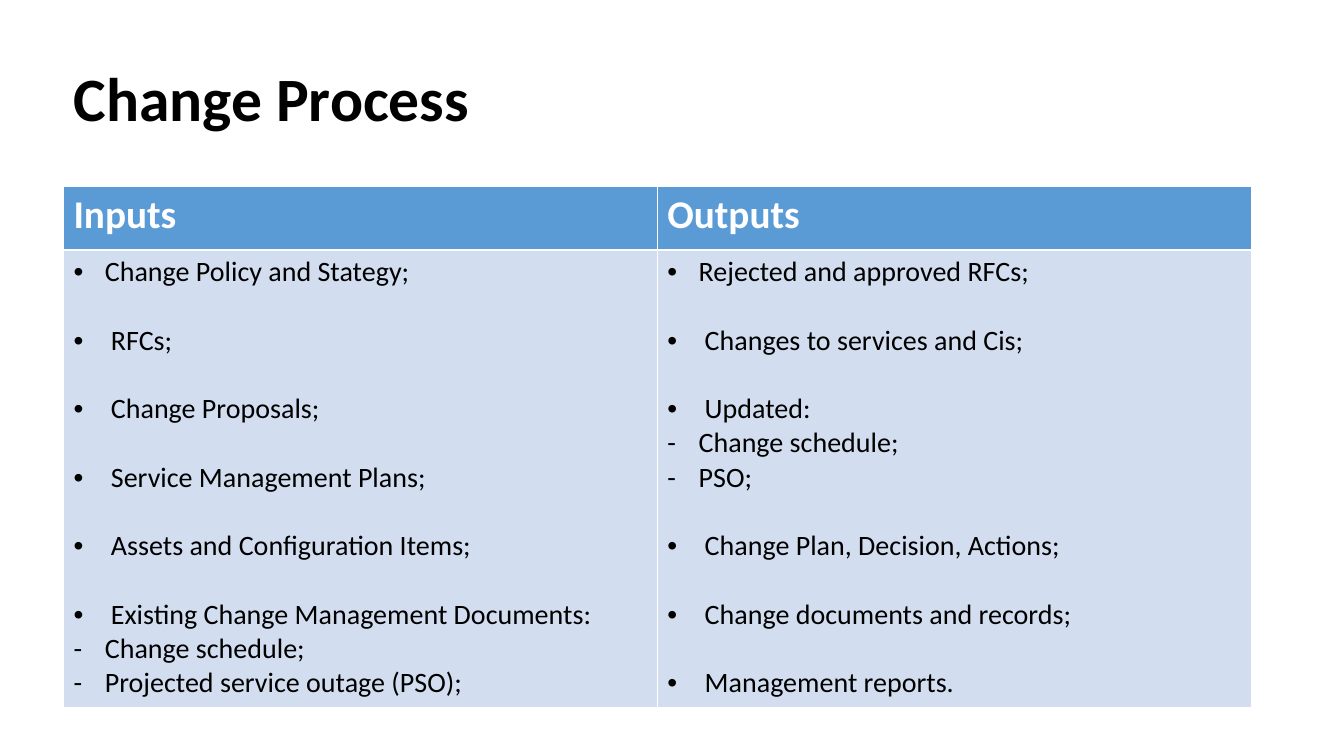
from lxml import etree
from pptx import Presentation, util as u
from pptx.dml.color import RGBColor
from pptx.enum import text
from pptx.oxml.ns import qn

TITLE = "Change Process"
COLUMNS = {
    "Inputs": [
        ("•", "Change Policy and Stategy;"),
        ("•", "RFCs;"),
        ("•", "Change Proposals;"),
        ("•", "Service Management Plans;"),
        ("•", "Assets and Configuration Items;"),
        ("•", "Existing Change Management Documents:"),
        ("-", "Change schedule;"),
        ("-", "Projected service outage (PSO);"),
    ],
    "Outputs": [
        ("•", "Rejected and approved RFCs;"),
        ("•", "Changes to services and Cis;"),
        ("•", "Updated:"),
        ("-", "Change schedule;"),
        ("-", "PSO;"),
        ("•", "Change Plan, Decision, Actions;"),
        ("•", "Change documents and records;"),
        ("•", "Management reports."),
    ],
}
LEFT, WIDTH = 0.63, 11.78
TITLE_TOP, TITLE_HEIGHT = 0.28, 1.45
TABLE_TOP, ROW_HEIGHTS = 1.85, (0.63, 4.54)
ITEM_SIZE, LINE_SPACE = 20, 24.4
INDENT, WIDE_INDENT = 0.31, 0.37


def color(value):
    return RGBColor.from_string(value)


def format_font(paragraph, size, value, bold):
    for run in paragraph.runs:
        run.font.name = "Calibri"
        run.font.size = u.Pt(size)
        run.font.bold = bold
        run.font.color.rgb = color(value)


def add_bullet(paragraph, mark, indent):
    properties = paragraph._p.get_or_add_pPr()
    properties.set("marL", str(u.Inches(indent)))
    properties.set("indent", str(-u.Inches(indent)))
    etree.SubElement(properties, qn("a:buFont")).set("typeface", "Arial" if mark == "•" else "Calibri")
    etree.SubElement(properties, qn("a:buChar")).set("char", mark)


def fill_cell(cell, lines, fill):
    cell.fill.solid()
    cell.fill.fore_color.rgb = color(fill)
    cell.text_frame.text = "\n".join(lines)
    return cell.text_frame.paragraphs


def add_title(slide):
    title = slide.shapes.title
    title.left, title.top = u.Inches(LEFT), u.Inches(TITLE_TOP)
    title.width, title.height = u.Inches(WIDTH), u.Inches(TITLE_HEIGHT)
    frame = title.text_frame
    frame.text = TITLE
    frame.auto_size = text.MSO_AUTO_SIZE.NONE
    frame.vertical_anchor = text.MSO_ANCHOR.MIDDLE
    paragraph = frame.paragraphs[0]
    paragraph.alignment = text.PP_ALIGN.LEFT
    paragraph.line_spacing = 0.9
    format_font(paragraph, 44, "000000", True)


def add_process_table(slide):
    table = slide.shapes.add_table(
        len(ROW_HEIGHTS), len(COLUMNS), u.Inches(LEFT), u.Inches(TABLE_TOP),
        u.Inches(WIDTH), u.Inches(sum(ROW_HEIGHTS))).table
    for row, height in zip(table.rows, ROW_HEIGHTS):
        row.height = u.Inches(height)
    for column, (heading, items) in enumerate(COLUMNS.items()):
        header = fill_cell(table.cell(0, column), [heading], "5B9BD5")
        format_font(header[0], 28, "FFFFFF", True)
        lines = [line for mark, line in items]
        paragraphs = fill_cell(table.cell(1, column), lines, "D2DEEF")
        for index, (paragraph, (mark, line)) in enumerate(zip(paragraphs, items)):
            spaced = index > 0 and mark == "•"
            add_bullet(paragraph, mark, WIDE_INDENT if spaced else INDENT)
            paragraph.space_before = u.Pt(LINE_SPACE if spaced else 0)
            format_font(paragraph, ITEM_SIZE, "000000", False)


def main():
    presentation = Presentation()
    presentation.slide_width = u.Inches(13.33)
    presentation.slide_height = u.Inches(7.5)
    slide = presentation.slides.add_slide(presentation.slide_layouts[5])
    add_title(slide)
    add_process_table(slide)
    presentation.save("out.pptx")


if __name__ == "__main__":
    main()
